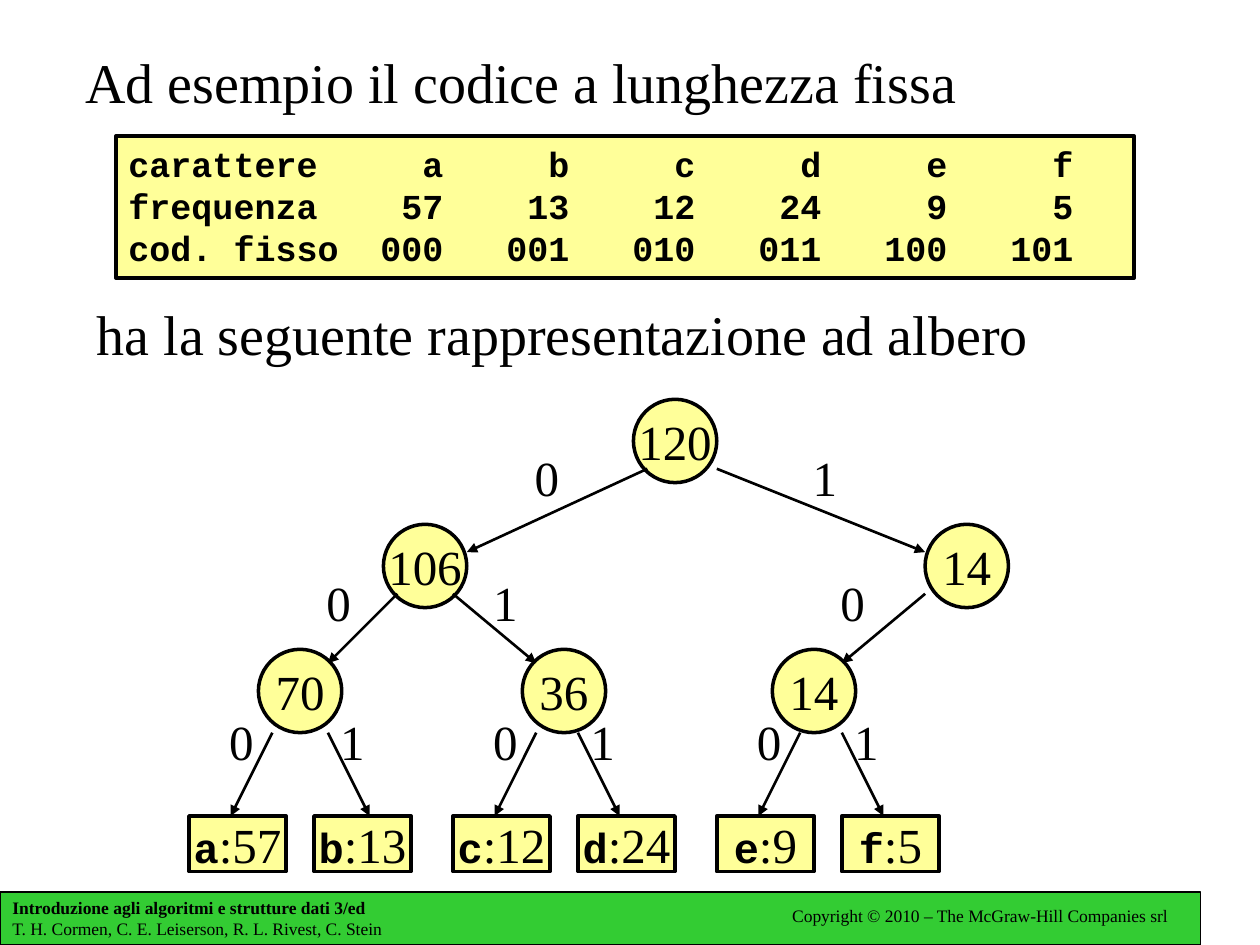
import pptx
import pptx.util
import pptx.dml.color
import pptx.enum.shapes
import pptx.enum.text
import pptx.oxml.ns
from lxml import etree

Cm, Pt = pptx.util.Cm, pptx.util.Pt
KIND = pptx.enum.shapes.MSO_SHAPE
ALIGN = pptx.enum.text.PP_ALIGN
ANCHOR = pptx.enum.text.MSO_ANCHOR
qn = pptx.oxml.ns.qn

HUES = {"ink": "000000", "node": "FFFF99", "bar": "33CC33"}
SERIF, MONO = "Times New Roman", "Courier New"

TITLE = "Ad esempio il codice a lunghezza fissa"
LEAD = "ha la seguente rappresentazione ad albero"
BOOK = "Introduzione agli algoritmi e strutture dati 3/ed"
NAMES = "T. H. Cormen, C. E. Leiserson, R. L. Rivest, C. Stein"
RIGHTS = "Copyright © 2010 – The McGraw-Hill Companies srl"
CODES = [
    ["carattere", "a", "b", "c", "d", "e", "f"],
    ["frequenza", "57", "13", "12", "24", "9", "5"],
    ["cod. fisso", "000", "001", "010", "011", "100", "101"],
]

# The tree lies on a square grid; all places below are in grid steps.
STEP, LEFT, TOP = 0.28, 3.81, 8.05
NODES = [("120", 32, 0), ("106", 14, 9), ("14", 53, 9),
         ("70", 5, 18), ("36", 24, 18), ("14", 42, 18)]
LEAVES = [("a", "57", 0), ("b", "13", 9), ("c", "12", 19),
          ("d", "24", 28), ("e", "9", 38), ("f", "5", 47)]
LEAF_Y = 30
# start x, start y, end x, end y, bit, bit x, bit y
EDGES = [
    (33, 5, 20, 11, "0", 24, 3), (38, 5, 53, 11, "1", 44, 3),
    (15, 14, 10, 19, "0", 9, 12), (19, 14, 25, 19, "1", 21, 12),
    (53, 14, 47, 19, "0", 46, 12),
    (6, 24, 3, 30, "0", 2, 22), (10, 24, 13, 30, "1", 10, 22),
    (25, 24, 22, 30, "0", 21, 22), (28, 24, 31, 30, "1", 28, 22),
    (44, 24, 41, 30, "0", 40, 22), (47, 24, 50, 30, "1", 47, 22),
]

deck = pptx.Presentation()
deck.slide_width, deck.slide_height = Cm(25.4), Cm(19.05)
slide = deck.slides.add_slide(deck.slide_layouts[6])
shapes = slide.shapes


def hue(name):
    return pptx.dml.color.RGBColor.from_string(HUES[name])


def spot(x, y):
    """Centimetres of a grid point."""
    return LEFT + x * STEP, TOP + y * STEP


def write(shape, rows, align=ALIGN.LEFT, anchor=ANCHOR.MIDDLE, wrap=True, tabs=()):
    """Fill a shape with rows of (text, size, font, bold) runs."""
    frame = shape.text_frame
    frame.word_wrap = wrap
    frame.vertical_anchor = anchor
    for i, row in enumerate(rows):
        para = frame.paragraphs[0] if i == 0 else frame.add_paragraph()
        para.alignment = align
        if tabs:
            stops = etree.SubElement(para._p.get_or_add_pPr(), qn("a:tabLst"))
            for pos in tabs:
                etree.SubElement(stops, qn("a:tab"), pos=str(Cm(pos)), algn="r")
        for text, size, face, bold in row:
            run = para.add_run()
            run.text = text
            run.font.size = Pt(size)
            run.font.name = face
            run.font.bold = bold
            run.font.color.rgb = hue("ink")


def label(x, y, w, h, text, size, **how):
    box = shapes.add_textbox(Cm(x), Cm(y), Cm(w), Cm(h))
    write(box, [[(text, size, SERIF, False)]], **how)


def block(kind, x, y, w, h, rows, fill="node", line=2, **how):
    shape = shapes.add_shape(kind, Cm(x), Cm(y), Cm(w), Cm(h))
    shape.shadow.inherit = False
    shape.fill.solid()
    shape.fill.fore_color.rgb = hue(fill)
    shape.line.color.rgb = hue("ink")
    shape.line.width = Pt(line)
    write(shape, rows, **how)


def arrow(start, end):
    ends = [Cm(v) for v in (*start, *end)]
    link = shapes.add_connector(pptx.enum.shapes.MSO_CONNECTOR.STRAIGHT, *ends)
    link.line.color.rgb = hue("ink")
    link.line.width = Pt(1.5)
    etree.SubElement(link.line._get_or_add_ln(), qn("a:tailEnd"), type="triangle")
    etree.SubElement(link._element.spPr, qn("a:effectLst"))


block(KIND.RECTANGLE, 0, 17.98, 24.2, 1.07,
      [[(BOOK, 10, SERIF, True)], [(NAMES, 10, SERIF, False)]],
      fill="bar", line=0.75)
label(15.72, 18.11, 8.13, 0.69, RIGHTS, 10, anchor=ANCHOR.TOP, wrap=False)
label(1.47, 0.84, 22.86, 1.6, TITLE, 32, anchor=ANCHOR.TOP)

block(KIND.RECTANGLE, 2.34, 2.74, 20.52, 2.87,
      [[("\t".join(row), 20, MONO, True)] for row in CODES],
      anchor=ANCHOR.TOP, tabs=[6.35 + 2.54 * i for i in range(6)])

for text, x, y in NODES:
    block(KIND.OVAL, *spot(x, y), 6 * STEP, 6 * STEP,
          [[(text, 28, SERIF, False)]], align=ALIGN.CENTER, wrap=False)
for sign, count, x in LEAVES:
    block(KIND.RECTANGLE, *spot(x, LEAF_Y), 7 * STEP, 4 * STEP,
          [[(sign, 24, MONO, True), (":" + count, 28, SERIF, False)]],
          align=ALIGN.CENTER, wrap=False)
for x1, y1, x2, y2, *_ in EDGES:
    arrow(spot(x1, y1), spot(x2, y2))
for *_, bit, x, y in EDGES:
    label(*spot(x, y), 1.02, 1.45, bit, 28, wrap=False)

label(1.7, 5.92, 22.86, 1.6, LEAD, 32)

deck.save("out.pptx")
